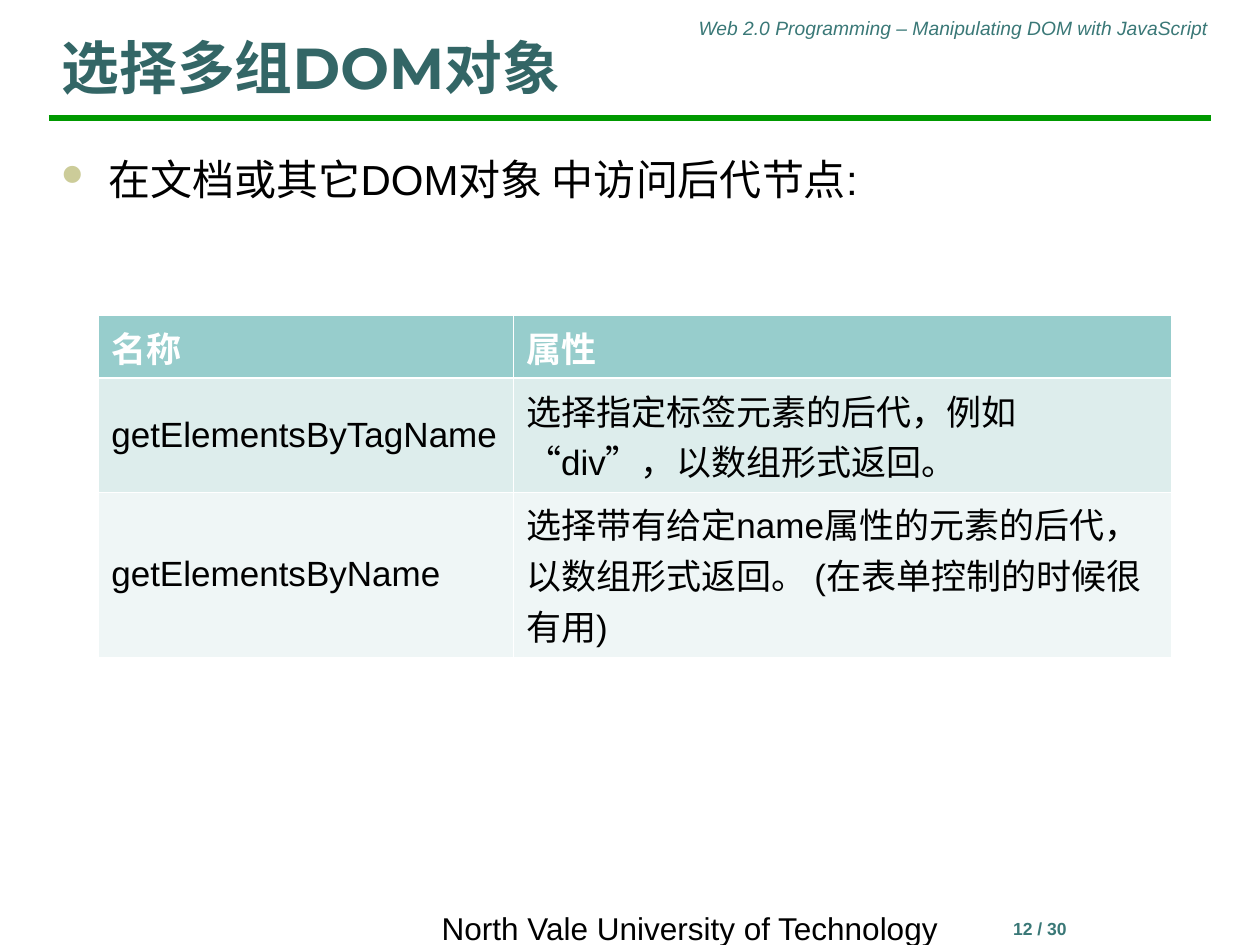
import pptx
import pptx.util
import pptx.dml.color
import pptx.enum.shapes
import pptx.enum.text
import pptx.oxml
import pptx.oxml.ns

Pt = pptx.util.Pt
ALIGN = pptx.enum.text.PP_ALIGN
ANCHOR = pptx.enum.text.MSO_ANCHOR
COLOURS = {
    "rule": "009900", "title": "336666", "label": "3A7877", "text": "000000",
    "bullet": "CCCC99", "white": "FFFFFF", "head": "97CDCC",
    "odd": "DDEDEC", "even": "EFF6F6",
}
METHODS = [
    ("名称", "属性"),
    ("getElementsByTagName", "选择指定标签元素的后代，例如\v“div”，以数组形式返回。"),
    ("getElementsByName",
     "选择带有给定name属性的元素的后代，以数组形式返回。 (在表单控制的时候很有用)"),
]


def colour(key):
    return pptx.dml.color.RGBColor.from_string(COLOURS[key])


def xml(tag, attributes="", inner=""):
    namespace = pptx.oxml.ns.nsdecls("a")
    return pptx.oxml.parse_xml(f"<a:{tag} {namespace} {attributes}>{inner}</a:{tag}>")


def fill_xml(key):
    return f'<a:solidFill><a:srgbClr val="{COLOURS[key]}"/></a:solidFill>'


def write(frame, words, size, key, bold=False, italic=False, face="Arial"):
    frame.text = words
    paragraph = frame.paragraphs[0]
    for run in paragraph.runs:
        font = run.font
        font.name, font.size, font.bold, font.italic = face, Pt(size), bold, italic
        font.color.rgb = colour(key)
    return paragraph


def add_words(slide, box, words, size, key, align=ALIGN.LEFT, anchor=ANCHOR.TOP, **style):
    frame = slide.shapes.add_textbox(*map(Pt, box)).text_frame
    frame.word_wrap = True
    frame.vertical_anchor = anchor
    paragraph = write(frame, words, size, key, **style)
    paragraph.alignment = align
    return paragraph


def add_header(slide, left, top, width):
    rule = slide.shapes.add_connector(
        pptx.enum.shapes.MSO_CONNECTOR.STRAIGHT,
        Pt(left), Pt(top + 61.7), Pt(left + width), Pt(top + 61.7))
    rule.line.color.rgb = colour("rule")
    rule.line.width = Pt(3)
    rule._element.spPr.append(xml("effectLst"))
    add_words(slide, (left + 321, top, 348.5, 21),
              "Web 2.0 Programming – Manipulating DOM with JavaScript",
              11, "label", ALIGN.RIGHT, italic=True)
    add_words(slide, (left + 0.2, top + 5.5, width, 50.4), "选择多组DOM对象", 33, "title",
              anchor=ANCHOR.BOTTOM, bold=True, face="Montserrat")


def add_lead(slide, left, top, width, height):
    lead = add_words(slide, (left, top, width, height),
                     "在文档或其它DOM对象 中访问后代节点:", 24, "text")
    lead.space_before = Pt(6)
    properties = lead._p.get_or_add_pPr()
    properties.set("marL", str(Pt(27)))
    properties.set("indent", str(Pt(-27)))
    properties.append(xml("buClr", inner=f'<a:srgbClr val="{COLOURS["bullet"]}"/>'))
    properties.append(xml("buSzPct", 'val="70000"'))
    properties.append(xml("buFont", 'typeface="Wingdings" charset="2"'))
    properties.append(xml("buChar", 'char="l"'))


def add_borders(cell, row):
    widths = {"lnL": 0.45, "lnR": 0.45,
              "lnT": 1.47 if row == 1 else 0.45,
              "lnB": 1.47 if row == 0 else 0.45}
    properties = cell._tc.get_or_add_tcPr()
    for place, (side, width) in enumerate(widths.items()):
        properties.insert(place, xml(side, f'w="{Pt(width)}"', fill_xml("white")))


def add_methods(slide, left, top, columns, rows):
    table = slide.shapes.add_table(
        len(rows), len(columns), Pt(left), Pt(top),
        Pt(sum(columns)), Pt(sum(rows))).table
    for column, width in zip(table.columns, columns):
        column.width = Pt(width)
    for r, (height, method) in enumerate(zip(rows, METHODS)):
        table.rows[r].height = Pt(height)
        for c, words in enumerate(method):
            cell = table.cell(r, c)
            cell.vertical_anchor = ANCHOR.MIDDLE
            cell.fill.solid()
            cell.fill.fore_color.rgb = colour(("head", "odd", "even")[r])
            write(cell.text_frame, words, 20, "text" if r else "white", bold=r == 0)
            add_borders(cell, r)


def add_footer(slide, left, top):
    add_words(slide, (left + 283.5, top + 0.3, 162, 36), "12 / 30", 10, "label",
              ALIGN.CENTER, bold=True)
    add_words(slide, (left, top, 329, 19.5), "North Vale University of Technology",
              18, "text", ALIGN.CENTER, ANCHOR.MIDDLE)


deck = pptx.Presentation()
deck.slide_width, deck.slide_height = Pt(720), Pt(540)
slide = deck.slides.add_slide(deck.slide_layouts[6])
add_header(slide, 28, 5.7, 664)
add_footer(slide, 229.7, 520.5)
add_lead(slide, 28, 84.2, 664, 73.5)
add_methods(slide, 56.4, 180.3, (237, 376), (35.7, 65.1, 94.3))
deck.save("out.pptx")
